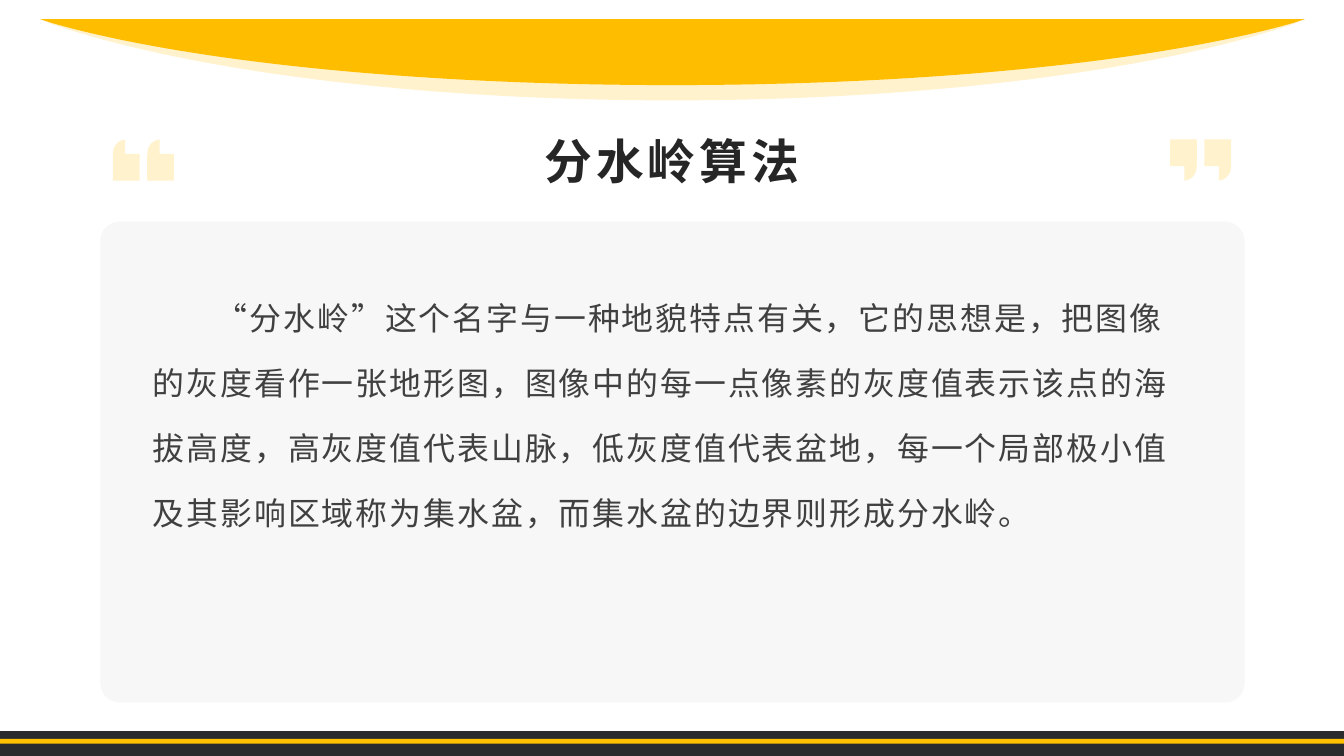
from dataclasses import dataclass

from lxml.etree import SubElement
from pptx import Presentation
from pptx.dml.color import RGBColor
from pptx.enum.shapes import MSO_SHAPE as Preset
from pptx.enum.text import MSO_ANCHOR as Anchor, PP_ALIGN as Align
from pptx.oxml.ns import qn
from pptx.util import Inches, Pt

Point = tuple[float, float]

COLORS = {
    "dark": "2A2B2D", "stripe": "FFC000", "panel": "F2F2F2", "cream": "FFF2CC",
    "gold": "FFBD00", "title": "262626", "body": "404040",
}
CJK_FONT = "Noto Sans CJK SC"
SLIDE_W, SLIDE_H = 14.06, 7.91


@dataclass
class Bar:
    top: float
    height: float
    color: str


@dataclass
class Arc:
    edge: float
    control: float
    bottom: float
    color: str


@dataclass
class QuoteMark:
    corners: list[Point]
    direction: int


@dataclass
class TextStyle:
    size: float
    color: str
    latin: str
    tracking: float
    line_spacing: float
    bold: bool = False


BARS = [Bar(7.65, 0.09, "dark"), Bar(7.73, 0.09, "stripe"), Bar(7.78, 0.13, "dark")]
CREAM_ARC = Arc(0.25, 0.73, 1.05, "cream")
GOLD_ARC = Arc(0.24, 0.64, 0.89, "gold")
QUOTE_MARKS = [
    QuoteMark([(12.24, 1.46), (12.6, 1.46)], 1),
    QuoteMark([(1.82, 1.89), (1.46, 1.89)], -1),
]
QUOTE_GLYPH = [(0, 0), (0.28, 0), (0.28, 0.27), (0.28, 0.41), (0.17, 0.43), (0.15, 0.43),
               (0.15, 0.28), (0, 0.28)]
TITLE_STYLE = TextStyle(36, "title", CJK_FONT, 3, 1.2, True)
BODY_STYLE = TextStyle(24, "body", "Arial", 1.5, 1.7)
TITLE = "分水岭算法"
BODY = (
    "“分水岭”这个名字与一种地貌特点有关，它的思想是，把图像的灰度看作一张地形图，"
    "图像中的每一点像素的灰度值表示该点的海拔高度，高灰度值代表山脉，低灰度值代表盆地，"
    "每一个局部极小值及其影响区域称为集水盆，而集水盆的边界则形成分水岭。"
)


def paint(shape, color: str) -> None:
    shape.shadow.inherit = False
    shape.fill.solid()
    shape.fill.fore_color.rgb = RGBColor.from_string(COLORS[color])
    shape.line.fill.background()


def add_block(shapes, preset, left: float, top: float, width: float, height: float, color: str):
    block = shapes.add_shape(preset, Inches(left), Inches(top), Inches(width), Inches(height))
    paint(block, color)
    return block


def add_outline(shapes, points: list[Point], curve_starts: list[int], color: str) -> None:
    """Draw a closed outline; three points from each curve start make one cubic curve."""
    emu = [(Inches(x), Inches(y)) for x, y in points]
    builder = shapes.build_freeform(*emu[0])
    builder.add_line_segments(emu[1:], close=True)
    outline = builder.convert_to_shape()
    paint(outline, color)
    drawing = next(outline._element.iter(qn("a:path")))
    commands = list(drawing)
    for start in curve_starts:
        curve, *rest = commands[start:start + 3]
        curve.tag = qn("a:cubicBezTo")
        for segment in rest:
            curve.append(segment[0])
            drawing.remove(segment)


def add_arc(shapes, arc: Arc) -> None:
    points = [
        (0.42, 0.2), (13.65, 0.2), (13.53, arc.edge),
        (12.12, arc.control), (9.74, arc.bottom), (7.03, arc.bottom),
        (4.33, arc.bottom), (1.94, arc.control), (0.54, arc.edge),
    ]
    add_outline(shapes, points, [3, 6], arc.color)


def add_quote_mark(shapes, mark: QuoteMark) -> None:
    group = shapes.add_group_shape()
    for x, y in mark.corners:
        points = [(x + mark.direction * dx, y + mark.direction * dy) for dx, dy in QUOTE_GLYPH]
        add_outline(group.shapes, points, [3], "cream")


def add_text(shapes, left: float, top: float, width: float, height: float,
             text: str, style: TextStyle):
    box = shapes.add_textbox(Inches(left), Inches(top), Inches(width), Inches(height))
    box.text_frame.word_wrap = True
    paragraph = box.text_frame.paragraphs[0]
    paragraph.line_spacing = style.line_spacing
    run = paragraph.add_run()
    run.text = text
    run.font.size = Pt(style.size)
    run.font.bold = style.bold
    run.font.name = style.latin
    run.font.color.rgb = RGBColor.from_string(COLORS[style.color])
    properties = run.font._element
    properties.set("spc", str(int(style.tracking * 100)))
    SubElement(properties, qn("a:ea")).set("typeface", CJK_FONT)
    return box.text_frame


def main() -> None:
    deck = Presentation()
    deck.slide_width, deck.slide_height = Inches(SLIDE_W), Inches(SLIDE_H)
    shapes = deck.slides.add_slide(deck.slide_layouts[6]).shapes

    # Footer bars
    for bar in BARS:
        add_block(shapes, Preset.RECTANGLE, 0, bar.top, SLIDE_W, bar.height, bar.color)

    # Translucent body panel
    panel = add_block(shapes, Preset.ROUNDED_RECTANGLE, 1.05, 2.32, 11.97, 5.03, "panel")
    panel.adjustments[0] = 0.04
    panel_color = panel._element.spPr.find(qn("a:solidFill")).find(qn("a:srgbClr"))
    SubElement(panel_color, qn("a:alpha")).set("val", "60000")

    # Lower header arc
    add_arc(shapes, CREAM_ARC)

    # Title and explanation
    title = add_text(shapes, 1.91, 1.18, 10.24, 0.85, TITLE, TITLE_STYLE)
    title.vertical_anchor = Anchor.BOTTOM
    title.paragraphs[0].alignment = Align.CENTER

    explanation = add_text(shapes, 1.5, 2.8, 11.06, 4.06, BODY, BODY_STYLE).paragraphs[0]
    explanation.space_before = Pt(10)
    indent = explanation._p.get_or_add_pPr()
    indent.set("marL", "0")
    indent.set("indent", str(Inches(0.66)))

    # Upper header arc
    add_arc(shapes, GOLD_ARC)

    # Quotation marks beside the title
    for mark in QUOTE_MARKS:
        add_quote_mark(shapes, mark)

    deck.save("out.pptx")


if __name__ == "__main__":
    main()
